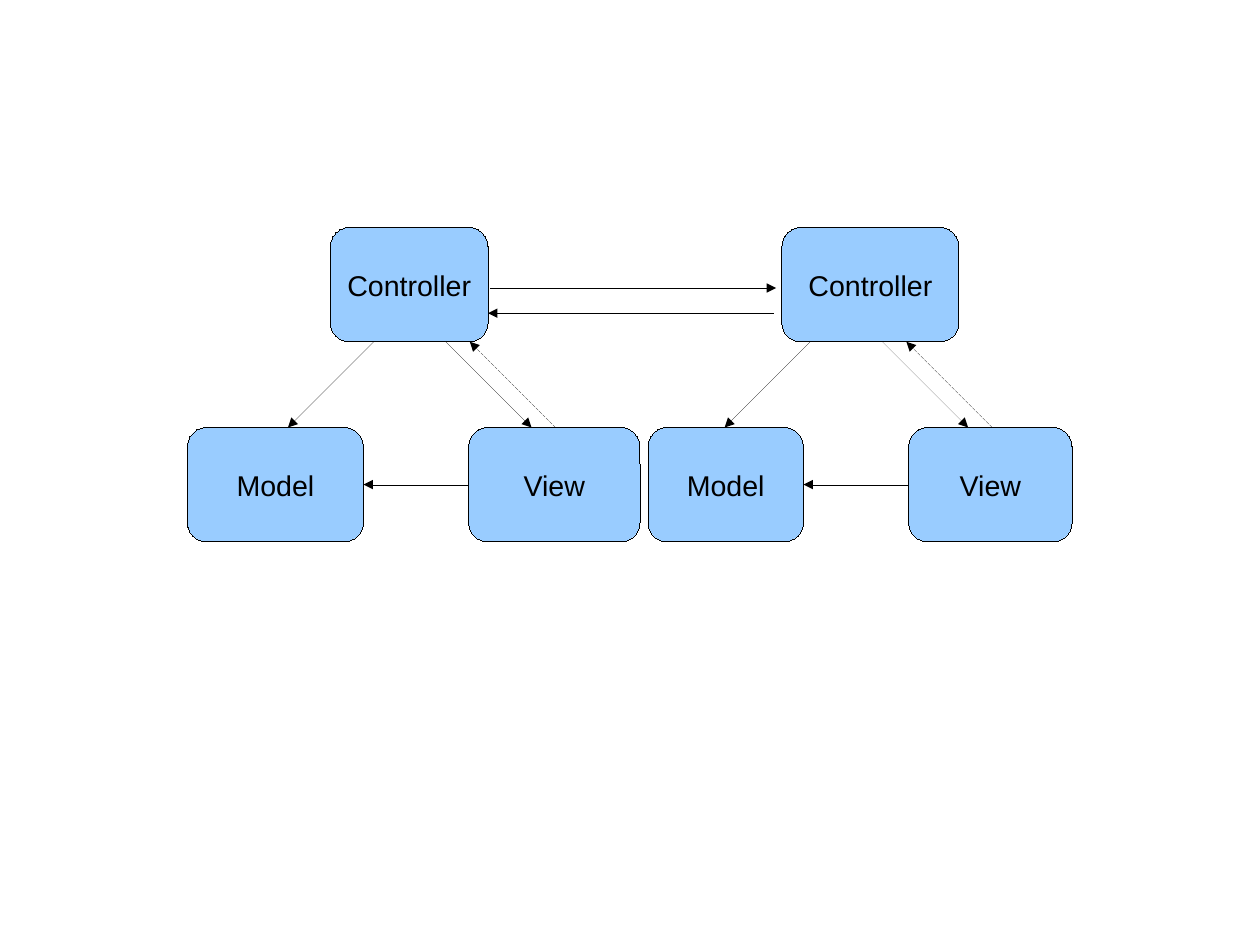
import pptx
import pptx.util
import pptx.dml.color
import pptx.enum.dml
import pptx.enum.shapes
import pptx.enum.text
import pptx.oxml
import pptx.oxml.ns

Inches = pptx.util.Inches

# Content: each triad lists name -> (left, width), and the start of its arrows
TRIADS = [
    {"boxes": {"Model": (1.64, 1.54), "View": (4.1, 1.5), "Controller": (2.89, 1.38)},
     "arrow_left": 3.27},
    {"boxes": {"Model": (5.67, 1.36), "View": (7.95, 1.43), "Controller": (6.84, 1.55)},
     "arrow_left": 7.09},
]
MESSAGES = [((4.29, 2.52), (6.79, 2.52)), ((6.77, 2.74), (4.27, 2.74))]

# Layout and style: the page is 28 by 21 cm
CM_PER_INCH = 2.54
PAGE_WIDTH, PAGE_HEIGHT = 28 / CM_PER_INCH, 21 / CM_PER_INCH
COLORS = {"box": "99CCFF", "ink": "000000"}
BOX_TOPS = {"Model": 3.74, "View": 3.74, "Controller": 1.99}
BOX_HEIGHT = 1
UPPER, LOWER = BOX_TOPS["Controller"] + BOX_HEIGHT, BOX_TOPS["Model"]
SLANT = LOWER - UPPER
VIEW_STEP, REPLY_STEP = 0.63, 0.84
HAIRLINE = pptx.util.Pt(0.01)
FONT = {"name": "Arial", "size": pptx.util.Pt(18)}
FRAME = {"word_wrap": False, "vertical_anchor": pptx.enum.text.MSO_ANCHOR.MIDDLE}


def color(name):
    return pptx.dml.color.RGBColor.from_string(COLORS[name])


def apply(target, values):
    for name, value in values.items():
        setattr(target, name, value)


def style_line(line):
    line.color.rgb = color("ink")
    line.width = HAIRLINE


def drawing_element(markup):
    return pptx.oxml.parse_xml("<a:%s %s/>" % (markup, pptx.oxml.ns.nsdecls("a")))


def add_box(page, label, left, width):
    box = page.shapes.add_shape(
        pptx.enum.shapes.MSO_SHAPE.ROUNDED_RECTANGLE, Inches(left),
        Inches(BOX_TOPS[label]), Inches(width), Inches(BOX_HEIGHT))
    box.shadow.inherit = False
    box.fill.solid()
    box.fill.fore_color.rgb = color("box")
    style_line(box.line)
    apply(box.text_frame, FRAME)
    para = box.text_frame.paragraphs[0]
    para.alignment = pptx.enum.text.PP_ALIGN.CENTER
    span = para.add_run()
    span.text = label
    apply(span.font, FONT)
    span.font.color.rgb = color("ink")
    return box


def add_arrow(page, start, end, dashed=False):
    arrow = page.shapes.add_connector(
        pptx.enum.shapes.MSO_CONNECTOR.STRAIGHT,
        *[Inches(value) for value in start + end])
    style_line(arrow.line)
    if dashed:
        arrow.line.dash_style = pptx.enum.dml.MSO_LINE.SQUARE_DOT
    properties = arrow.element.spPr
    head = drawing_element("tailEnd")
    head.set("type", "triangle")
    properties.get_or_add_ln().append(head)
    properties.append(drawing_element("effectLst"))
    return arrow


def add_triad(page, triad):
    boxes = {label: add_box(page, label, *place)
             for label, place in triad["boxes"].items()}

    # Controller to model, controller to view, and the dashed reply
    left = triad["arrow_left"]
    add_arrow(page, (left, UPPER), (left - SLANT, LOWER))
    add_arrow(page, (left + VIEW_STEP, UPPER), (left + VIEW_STEP + SLANT, LOWER))
    add_arrow(page, (left + REPLY_STEP + SLANT, LOWER),
              (left + REPLY_STEP, UPPER), dashed=True)

    # View to model
    middle = LOWER + BOX_HEIGHT / 2
    model_left, model_width = triad["boxes"]["Model"]
    query = add_arrow(page, (triad["boxes"]["View"][0], middle),
                      (model_left + model_width, middle))
    query.begin_connect(boxes["View"], 1)
    query.end_connect(boxes["Model"], 3)


def main():
    deck = pptx.Presentation()
    deck.slide_width, deck.slide_height = Inches(PAGE_WIDTH), Inches(PAGE_HEIGHT)
    page = deck.slides.add_slide(deck.slide_layouts[6])
    for triad in TRIADS:
        add_triad(page, triad)
    # Messages between the controllers
    for start, end in MESSAGES:
        add_arrow(page, start, end)
    deck.save("out.pptx")


if __name__ == "__main__":
    main()
